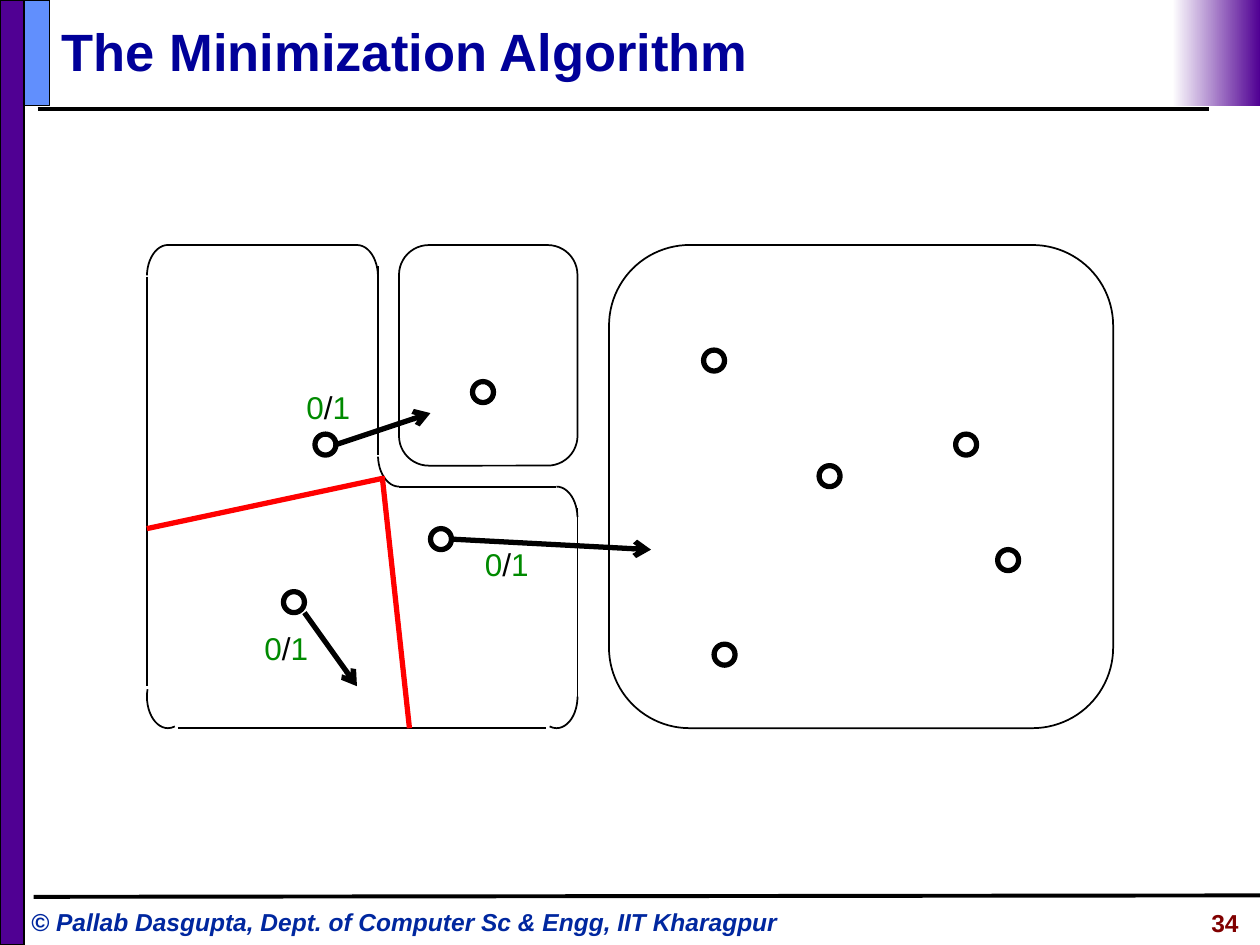
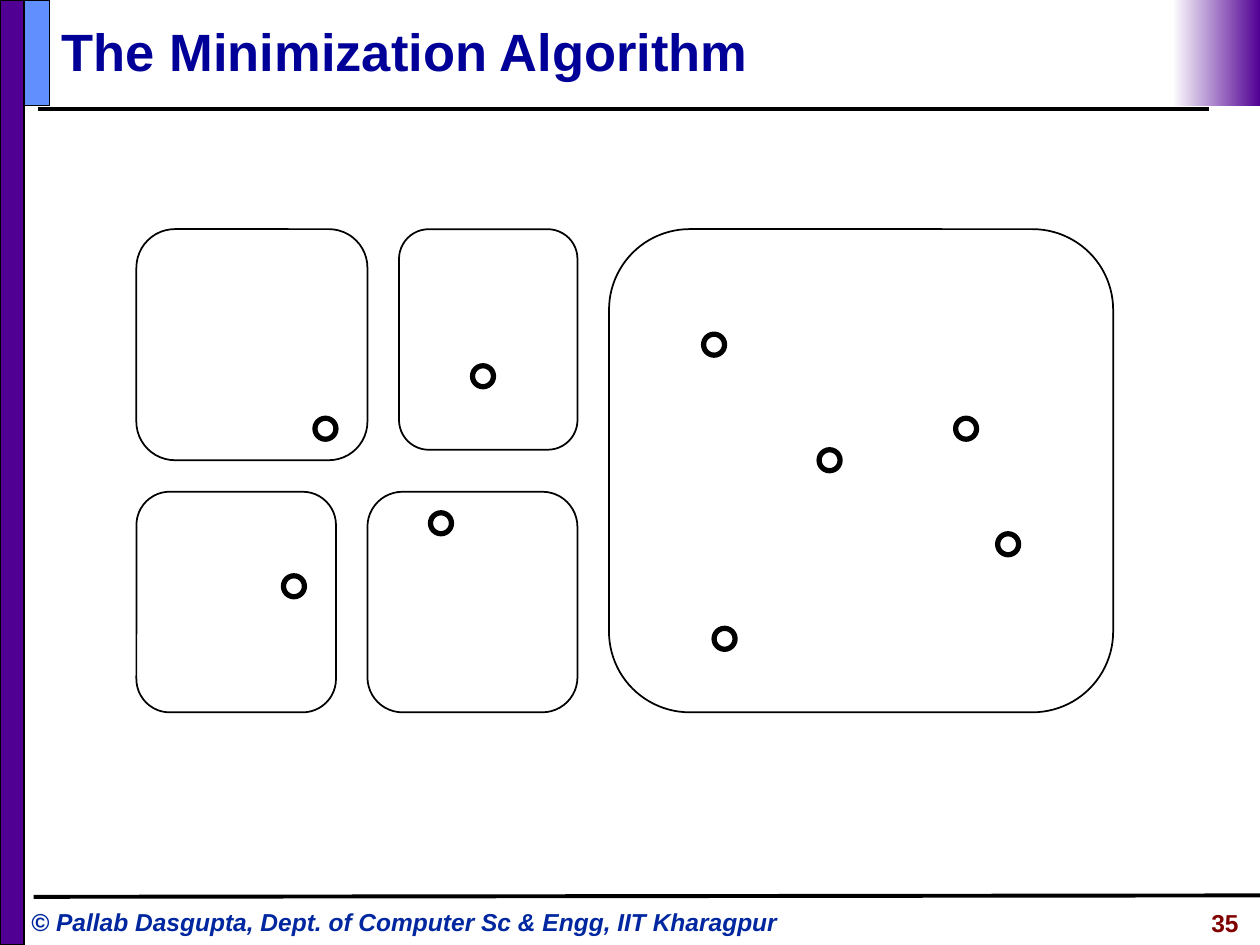
from dataclasses import dataclass

from lxml import etree
from pptx import Presentation
from pptx import util as u
from pptx.dml.color import RGBColor
from pptx.enum import shapes, text
from pptx.oxml import ns


@dataclass(frozen=True)
class Theme:
    font: str = "Arial"
    black: str = "000000"
    white: str = "FFFFFF"
    purple: str = "500093"
    blue: str = "618FFD"
    navy: str = "000099"
    credit: str = "00279F"
    maroon: str = "800000"
    green: str = "008A00"
    red: str = "FF0000"
    head: int = 30
    label: int = 18
    foot: int = 14
    thin: float = 1
    rule: float = 2.25
    thick: float = 3


T = Theme()
KIND = shapes.MSO_SHAPE
PAGE = (0, 0, 25.4, 19.05)
COLS, ROWS = 93, 46
TITLE = "The Minimization Algorithm"
CREDIT = "© Pallab Dasgupta, Dept. of Computer Sc & Engg, IIT Kharagpur"

DOTS = [(17, 18), (78, 18), (28, 27), (14, 33), (32, 13),
        (55, 38), (54, 10), (65, 21), (82, 29)]
SHARED = [(45, 0, 48, 46), (25, 0, 17, 21)]
SPLIT = [(0, 0, 22, 22), (0, 25, 19, 21), (22, 25, 20, 21)]
SIDES = [(1, 3, 1, 42), (3, 0, 21, 0), (4, 46, 39, 46),
         (42, 43, 42, 25), (23, 2, 23, 20), (25, 23, 40, 23)]
BENDS = [(38, 40, 0, 103), (1, 40, 77, 200), (23, 17, 90, 176),
         (38, 23, 270, 357), (19, 0, 270, 357), (1, 0, 183, 270)]
MOVES = [(16, 35, 21, 42), (19, 19, 28, 16), (30, 28, 49, 29)]
CUTS = [(1, 27, 23.5, 22.2), (23.4, 22, 26, 46)]
TAGS = [(15, 13), (11, 36), (32, 28)]


def rgb(code):
    return RGBColor.from_string(code)


def apply(thing, form):
    for name, value in form.items():
        setattr(thing, name, value)


def cms(*values):
    return [u.Cm(value) for value in values]


def add_line(slide, ends, width, color=T.black, arrow=False):
    line = slide.shapes.add_connector(shapes.MSO_CONNECTOR.STRAIGHT, *cms(*ends))
    line.line.color.rgb = rgb(color)
    line.line.width = u.Pt(width)
    if arrow:
        etree.SubElement(line.line._get_or_add_ln(), ns.qn("a:tailEnd"), type="arrow")
    etree.SubElement(line._element.spPr, ns.qn("a:effectLst"))
    return line


def add_form(slide, kind, box, fill=None, width=None):
    form = slide.shapes.add_shape(kind, *cms(*box))
    form.shadow.inherit = False
    if fill:
        form.fill.solid()
        form.fill.fore_color.rgb = rgb(fill)
    else:
        form.fill.background()
    if width:
        form.line.color.rgb = rgb(T.black)
        form.line.width = u.Pt(width)
    else:
        form.line.fill.background()
    return form


def add_text(slide, box, runs, size, align=text.PP_ALIGN.LEFT,
             anchor=text.MSO_ANCHOR.TOP, before=0, **style):
    frame = slide.shapes.add_textbox(*cms(*box)).text_frame
    apply(frame, {"word_wrap": True, "vertical_anchor": anchor})
    para = frame.paragraphs[0]
    apply(para, {"alignment": align, "space_before": u.Pt(before)})
    for words, color in runs:
        run = para.add_run()
        run.text = words
        apply(run.font, {"name": T.font, "size": u.Pt(size), **style})
        run.font.color.rgb = rgb(color)


def add_frame(slide, box, number):
    x, y, w, h = box
    add_line(slide, (x + 0.76, y + 2.2, x + 24.38, y + 2.2), T.rule)
    add_text(slide, (x + 0.38, y + 18.15, 16.2, 0.87), [(CREDIT, T.credit)],
             T.foot, bold=True, italic=True)
    add_form(slide, KIND.RECTANGLE, (x, y, 0.48, h), T.purple, T.thin)
    add_line(slide, (x + 0.68, y + 18.08, x + w, y + 18.05), T.rule)
    add_form(slide, KIND.RECTANGLE, (x + 0.48, y, 0.52, 2.13), T.blue, T.thin)
    fade = add_form(slide, KIND.RECTANGLE, (x + w - 1.77, y, 1.77, 2.13))
    fade.fill.gradient()
    fade.fill.gradient_angle = 180
    for stop, color, place in zip(fade.fill.gradient_stops, (T.purple, T.white), (0, 1)):
        stop.color.rgb = rgb(color)
        stop.position = place
    add_text(slide, (x + 1, y + 0.25, 23.1, 1.55), [(TITLE, T.navy)], T.head,
             anchor=text.MSO_ANCHOR.MIDDLE, bold=True)
    add_text(slide, (x + 20.78, y + 18.18, 4.44, 0.89), [(str(number), T.maroon)],
             T.foot, align=text.PP_ALIGN.RIGHT, bold=True)


def scale(box, *cells):
    x, y, w, h = box
    steps = (w / COLS, h / ROWS)
    return [(x, y)[i % 2] + cell * steps[i % 2] for i, cell in enumerate(cells)]


def area(box, left, top, wide, high):
    x, y, right, low = scale(box, left, top, left + wide, top + high)
    return x, y, right - x, low - y


def add_states(slide, box, panels):
    for left, top in DOTS:
        add_form(slide, KIND.OVAL, area(box, left, top, 2, 2), width=T.thick)
    for panel in panels:
        form = add_form(slide, KIND.ROUNDED_RECTANGLE, area(box, *panel), width=T.thin)
        form.adjustments[0] = 0.167


def add_split(slide, box):
    for side in SIDES:
        add_line(slide, scale(box, *side), T.thin)
    for left, top, start, end in BENDS:
        bend = add_form(slide, KIND.ARC, area(box, left, top, 4, 6), width=T.thin)
        for i, angle in enumerate((start, end)):
            bend.adjustments[i] = angle * 0.6
    for move in MOVES:
        add_line(slide, scale(box, *move), T.thick, arrow=True)
    for left, top in TAGS:
        add_text(slide, area(box, left, top, 8, 4.8),
                 [("0", T.green), ("/", T.black), ("1", T.green)], T.label, before=11.2)
    for cut in CUTS:
        add_line(slide, scale(box, *cut), T.thick, T.red)


def main():
    deck = Presentation()
    apply(deck, {"slide_width": u.Cm(PAGE[2]), "slide_height": u.Cm(PAGE[3])})
    views = [(34, 4.94, SHARED, True), (35, 4.62, SHARED + SPLIT, False)]
    for number, top, panels, split in views:
        slide = deck.slides.add_slide(deck.slide_layouts[6])
        box = (2.75, top, 19.69, 9.74)
        add_frame(slide, PAGE, number)
        add_states(slide, box, panels)
        if split:
            add_split(slide, box)
    deck.save("out.pptx")


if __name__ == "__main__":
    main()
